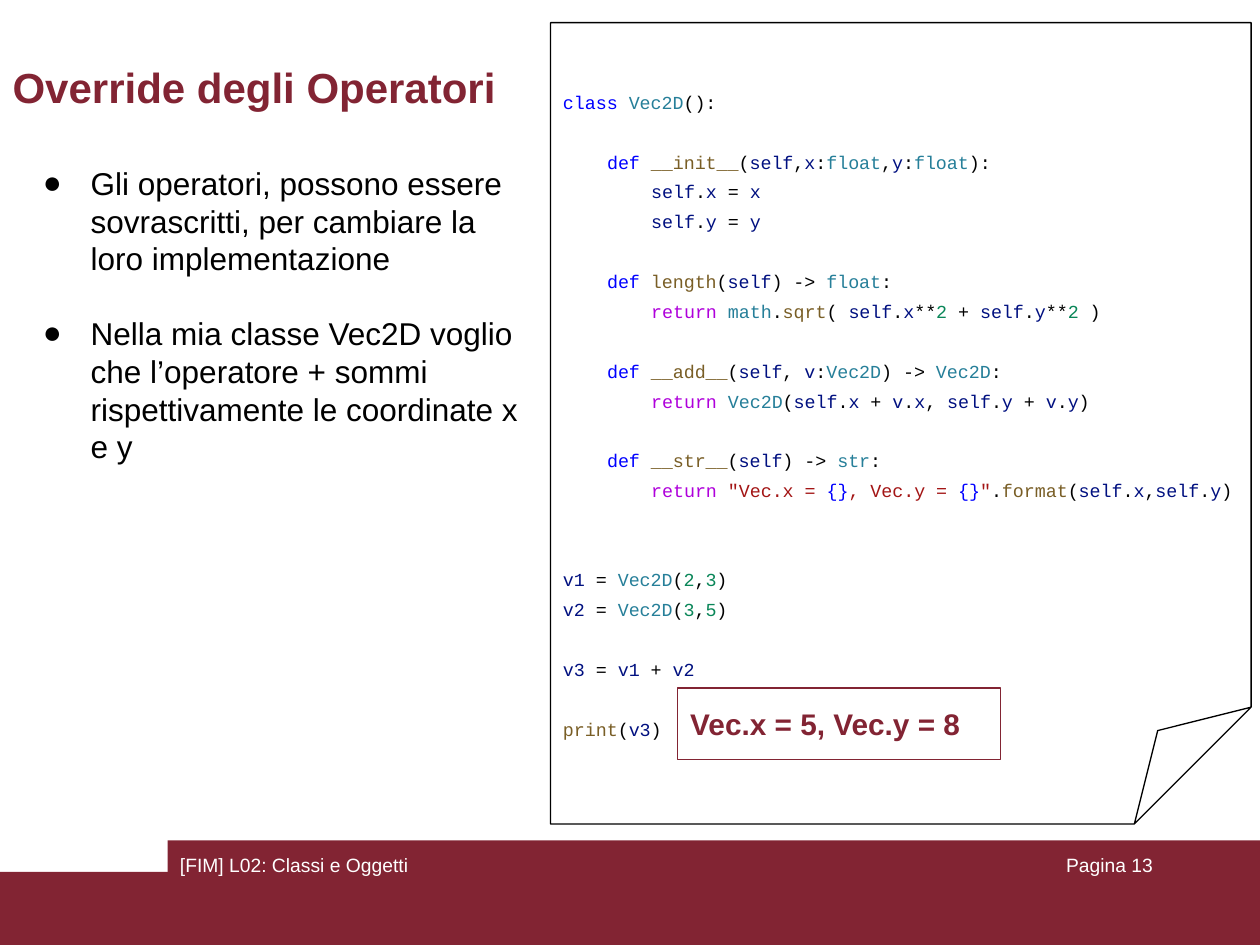
"""Build the slide about operator overriding in a Python vector class."""
from dataclasses import dataclass

from lxml import etree
from pptx import Presentation
from pptx.dml.color import RGBColor
from pptx.enum.shapes import MSO_SHAPE as Shape
from pptx.enum.text import MSO_ANCHOR as Anchor, MSO_AUTO_SIZE as AutoSize, PP_ALIGN as Align
from pptx.oxml.ns import qn
from pptx.util import Inches, Pt


@dataclass(frozen=True)
class Theme:
    brand: str = "822433"
    white: str = "FFFFFF"
    black: str = "000000"
    keyword: str = "0000FF"
    control: str = "AF00DB"
    type_name: str = "267F99"
    function: str = "795E26"
    variable: str = "001080"
    number: str = "098658"
    string: str = "A31515"
    text_font: str = "Arial"
    code_font: str = "Courier New"
    title_size: float = 24
    body_size: float = 18
    result_size: float = 17
    footer_size: float = 11
    code_size: float = 10.5
    code_pitch: float = 17


theme = Theme()


def set_font(font, size, color, bold=False, name=theme.text_font):
    font.name, font.size, font.bold = name, Pt(size), bold
    font.color.rgb = RGBColor.from_string(color)


def set_frame(frame, anchor, vertical_inset):
    frame.word_wrap = True
    frame.auto_size = AutoSize.NONE
    frame.vertical_anchor = anchor
    frame.margin_left = frame.margin_right = Inches(0.1)
    frame.margin_top = frame.margin_bottom = Inches(vertical_inset)


deck = Presentation()
deck.slide_width, deck.slide_height = Inches(10), Inches(7.5)
page = deck.slides.add_slide(deck.slide_layouts[1])

title = page.shapes.title
title.left, title.top, title.width, title.height = map(Inches, (0, 0.41, 8.27, 0.55))
title.text_frame.text = "Override degli Operatori"
set_frame(title.text_frame, Anchor.MIDDLE, 0.05)
para = title.text_frame.paragraphs[0]
para.alignment = Align.LEFT
set_font(para.font, theme.title_size, theme.brand, bold=True)

body = page.placeholders[1]
body.left, body.top, body.width, body.height = map(Inches, (0.12, 1.2, 4.15, 2.63))
body.text_frame.text = "\n".join([
    "Gli operatori, possono essere sovrascritti, per cambiare la loro implementazione",
    "Nella mia classe Vec2D voglio che l’operatore + sommi rispettivamente le coordinate x e y",
])
set_frame(body.text_frame, Anchor.TOP, 0.1)
for para, gap in zip(body.text_frame.paragraphs, (0, 21)):
    para.space_before = Pt(gap)
    set_font(para.font, theme.body_size, theme.black)
    properties = para._p.get_or_add_pPr()
    properties.set("marL", str(Inches(0.5)))
    properties.set("indent", str(Inches(-0.38)))
    bullet = etree.Element(qn("a:buChar"), char="●")
    properties.find(qn("a:defRPr")).addprevious(bullet)

for left, top, width, height in [(0, 6.92, 10, 0.58), (1.33, 6.67, 8.67, 0.83)]:
    bar = page.shapes.add_shape(
        Shape.RECTANGLE, Inches(left), Inches(top), Inches(width), Inches(height))
    bar.shadow.inherit = False
    bar.fill.solid()
    bar.fill.fore_color.rgb = RGBColor.from_string(theme.brand)
    bar.line.fill.background()

for left, width, text, alignment in [
    (1.33, 3.17, "[FIM] L02: Classi e Oggetti", Align.LEFT),
    (7.17, 2.08, "Pagina 13", Align.RIGHT),
]:
    box = page.shapes.add_textbox(Inches(left), Inches(6.72), Inches(width), Inches(0.5))
    box.text_frame.text = text
    set_frame(box.text_frame, Anchor.TOP, 0.05)
    para = box.text_frame.paragraphs[0]
    para.alignment = alignment
    set_font(para.font, theme.footer_size, theme.white)

token_groups = {
    theme.keyword: ["class", "def", "{}"],
    theme.control: ["return"],
    theme.type_name: ["Vec2D", "float", "str", "math"],
    theme.function: ["__init__", "__add__", "__str__", "length", "sqrt", "format", "print"],
    theme.variable: ["self", "x", "y", "v", "v1", "v2", "v3"],
    theme.number: ["2", "3", "5"],
    theme.string: ['"Vec.x = ', ", Vec.y = ", '"'],
}
token_colors = {token: color for color, tokens in token_groups.items() for token in tokens}

code_lines = [
    (0, 0, "class| |Vec2D|():"),
    (1, 1, "def| |__init__|(|self|,|x|:|float|,|y|:|float|):"),
    (2, 0, "self|.|x| = |x"),
    (2, 0, "self|.|y| = |y"),
    (1, 1, "def| |length|(|self|) -> |float|:"),
    (2, 0, "return| |math|.|sqrt|( |self|.|x|**|2| + |self|.|y|**|2| )"),
    (1, 1, "def| |__add__|(|self|, |v|:|Vec2D|) -> |Vec2D|:"),
    (2, 0, "return| |Vec2D|(|self|.|x| + |v|.|x|, |self|.|y| + |v|.|y|)"),
    (1, 1, "def| |__str__|(|self|) -> |str|:"),
    (2, 0, 'return| |"Vec.x = |{}|, Vec.y = |{}|"|.|format|(|self|.|x|,|self|.|y|)'),
    (0, 2, "v1| = |Vec2D|(|2|,|3|)"),
    (0, 0, "v2| = |Vec2D|(|3|,|5|)"),
    (0, 1, "v3| = |v1| + |v2"),
    (0, 1, "print|(|v3|)"),
]

sheet = page.shapes.add_shape(
    Shape.FOLDED_CORNER, Inches(4.37), Inches(0.18), Inches(5.56), Inches(6.36))
result = page.shapes.add_shape(
    Shape.RECTANGLE, Inches(5.38), Inches(5.46), Inches(2.56), Inches(0.57))
for shape, color in [(sheet, theme.black), (result, theme.brand)]:
    shape.shadow.inherit = False
    shape.fill.background()
    shape.line.color.rgb = RGBColor.from_string(color)
    shape.line.width = Pt(0.75)

frame = sheet.text_frame
set_frame(frame, Anchor.TOP, 0)
frame.margin_top = Inches(0.48)
frame.margin_right = Inches(0.05)
for number, (level, gap_lines, line) in enumerate(code_lines):
    para = frame.add_paragraph() if number else frame.paragraphs[0]
    para.alignment = Align.LEFT
    para.line_spacing = 1.36
    para.space_before = Pt(gap_lines * theme.code_pitch)
    para._p.get_or_add_pPr().set("marL", str(Inches(0.35 * level)))
    for token in line.split("|"):
        span = para.add_run()
        span.text = token
        color = token_colors.get(token, theme.black)
        set_font(span.font, theme.code_size, color, name=theme.code_font)

result.text_frame.text = "Vec.x = 5, Vec.y = 8"
set_frame(result.text_frame, Anchor.MIDDLE, 0.1)
para = result.text_frame.paragraphs[0]
para.alignment = Align.LEFT
set_font(para.font, theme.result_size, theme.brand, bold=True)

deck.save("out.pptx")
